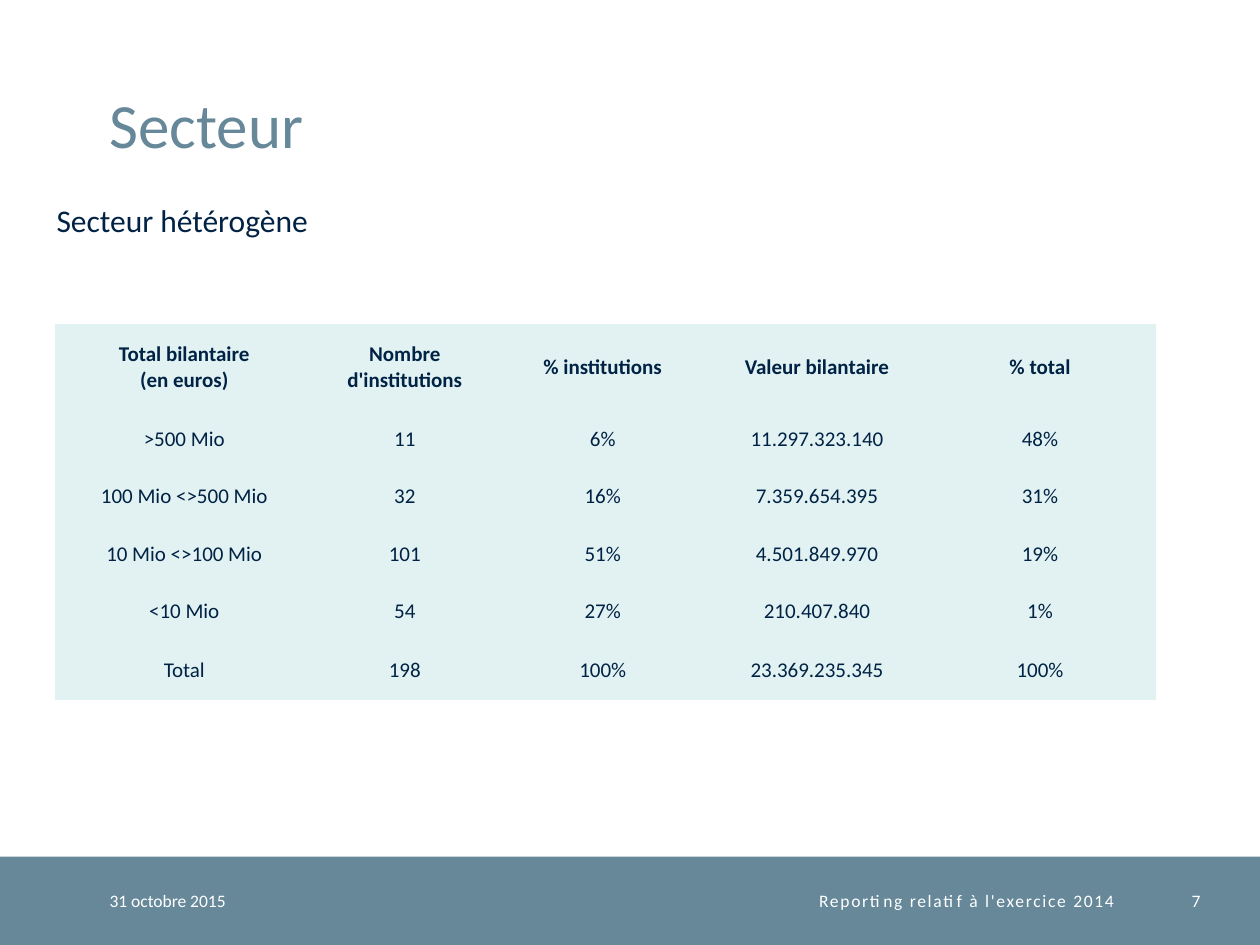
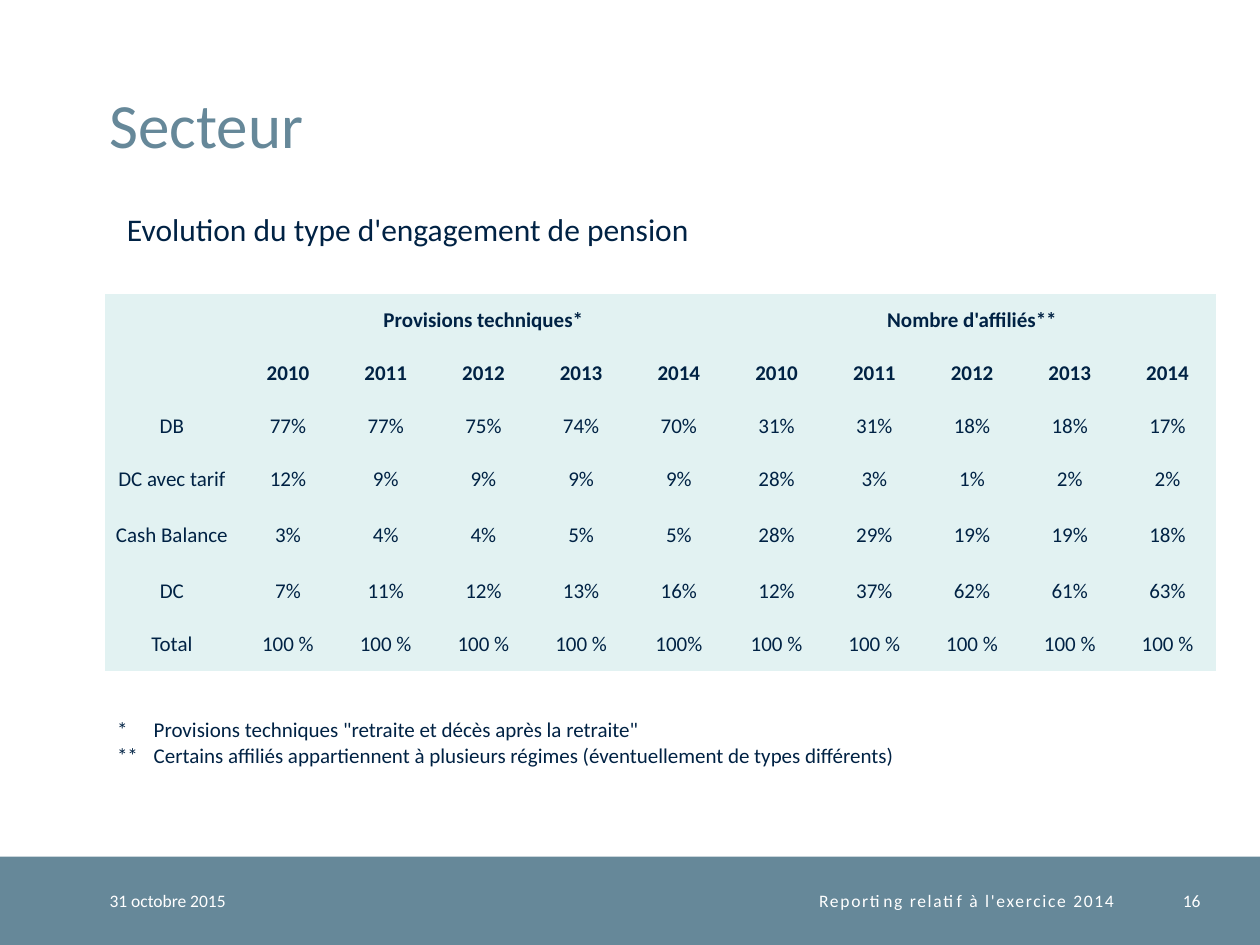
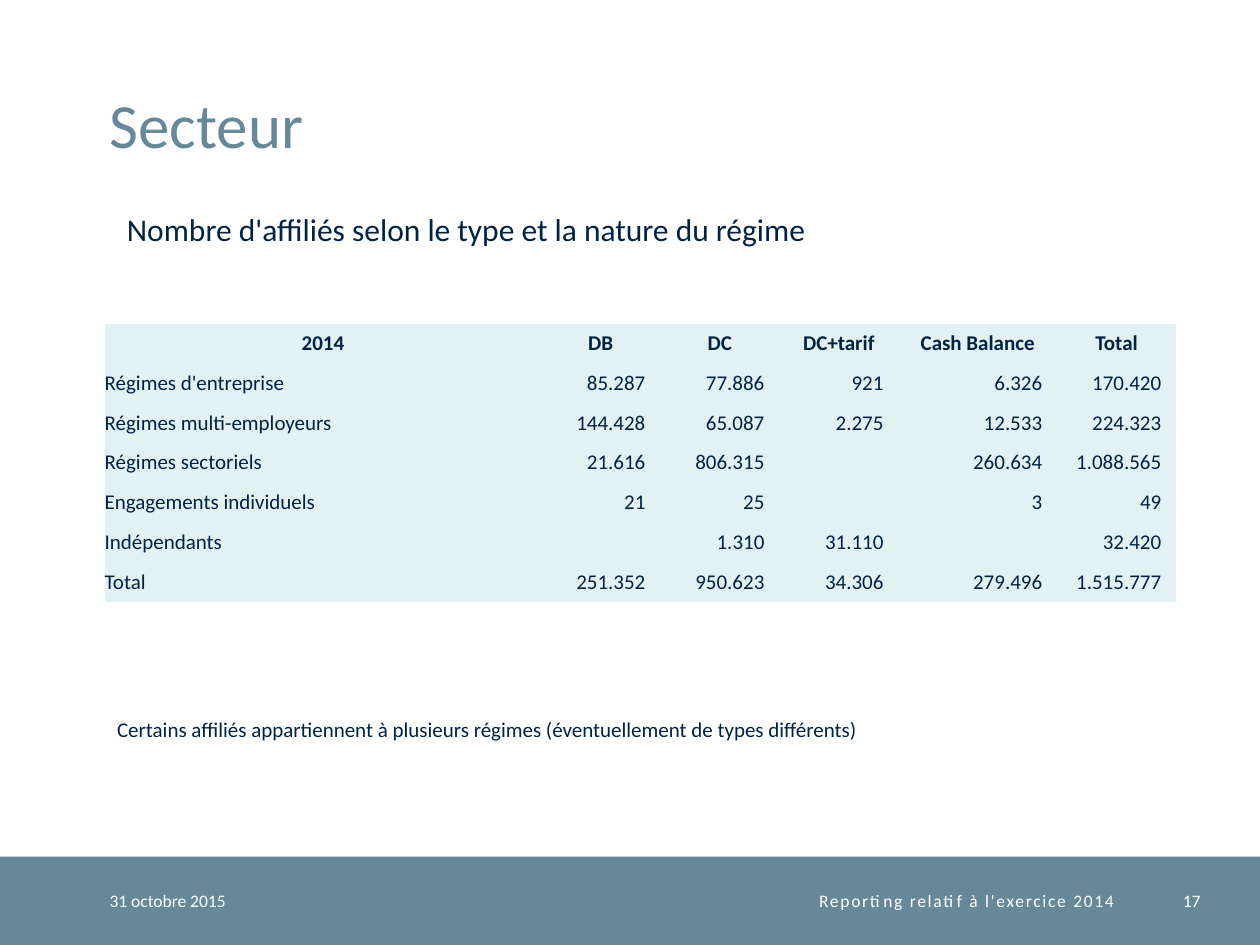
from pptx import Presentation
from pptx.dml.color import RGBColor
from pptx.enum.shapes import MSO_SHAPE
from pptx.enum.text import MSO_ANCHOR, MSO_AUTO_SIZE, PP_ALIGN
from pptx.oxml.ns import qn
from pptx.util import Cm, Pt

SLATE = RGBColor(0x66, 0x88, 0x99)
NAVY = RGBColor(0x00, 0x22, 0x44)
PALE = RGBColor(0xE2, 0xF2, 0xF2)
WHITE = RGBColor(0xFF, 0xFF, 0xFF)
FONT = "Calibri"
PLAIN_TABLE_STYLE = "{2D5ABB26-0587-4C30-8999-92F81FD0307C}"

SLIDE_WIDTH, SLIDE_HEIGHT = 25.4, 19.05
BAND_TOP, BAND_HEIGHT = 17.27, 1.78
CONTENT_LEFT, TITLE_LEFT = 2.11, 2.21
HANGING_INDENT = 0.74

BALANCE_SHEETS = [
    ["Total bilantaire\n(en euros)", "Nombre d'institutions", "% institutions",
     "Valeur bilantaire", "% total"],
    [">500 Mio", "11", "6%", "11.297.323.140", "48%"],
    ["100 Mio <>500 Mio", "32", "16%", "7.359.654.395", "31%"],
    ["10 Mio <>100 Mio", "101", "51%", "4.501.849.970", "19%"],
    ["<10 Mio", "54", "27%", "210.407.840", "1%"],
    ["Total", "198", "100%", "23.369.235.345", "100%"],
]
YEARS = ["2010", "2011", "2012", "2013", "2014"]
COMMITMENTS = [
    ["", "Provisions techniques*", "", "", "", "", "Nombre d'affiliés**", "", "", "", ""],
    ["", *YEARS, *YEARS],
    ["DB", "77%", "77%", "75%", "74%", "70%", "31%", "31%", "18%", "18%", "17%"],
    ["DC avec tarif", "12%", "9%", "9%", "9%", "9%", "28%", "3%", "1%", "2%", "2%"],
    ["Cash Balance", "3%", "4%", "4%", "5%", "5%", "28%", "29%", "19%", "19%", "18%"],
    ["DC", "7%", "11%", "12%", "13%", "16%", "12%", "37%", "62%", "61%", "63%"],
    ["Total", *["100 %"] * 4, "100%", *["100 %"] * 5],
]
AFFILIATES = [
    ["2014", "DB", "DC", "DC+tarif", "Cash Balance", "Total"],
    ["Régimes d'entreprise", "85.287", "77.886", "921", "6.326", "170.420"],
    ["Régimes multi-employeurs", "144.428", "65.087", "2.275", "12.533", "224.323"],
    ["Régimes sectoriels", "21.616", "806.315", "", "260.634", "1.088.565"],
    ["Engagements individuels", "21", "25", "", "3", "49"],
    ["Indépendants", "", "1.310", "31.110", "", "32.420"],
    ["Total", "251.352", "950.623", "34.306", "279.496", "1.515.777"],
]
OVERLAP_NOTE = ("Certains affiliés appartiennent à plusieurs régimes "
                "(éventuellement de types différents)")


def format_text(text_frame, size, color, align=PP_ALIGN.LEFT, bold=False):
    for paragraph in text_frame.paragraphs:
        paragraph.alignment = align
        for run in paragraph.runs:
            run.font.name = FONT
            run.font.size = Pt(size)
            run.font.bold = bold
            run.font.color.rgb = color


def clear_margins(holder):
    """Remove the inner margins of a text frame or table cell."""
    holder.margin_left = holder.margin_right = 0
    holder.margin_top = holder.margin_bottom = 0


def add_text(slide, text, left, top, width, height, size, color, align=PP_ALIGN.LEFT):
    box = slide.shapes.add_textbox(Cm(left), Cm(top), Cm(width), Cm(height))
    frame = box.text_frame
    frame.word_wrap = True
    frame.text = text
    format_text(frame, size, color, align)
    return frame


def add_footer_text(slide, text, left, width, align=PP_ALIGN.LEFT):
    frame = add_text(slide, text, left, BAND_TOP, width, BAND_HEIGHT, 10, WHITE, align)
    clear_margins(frame)
    frame.vertical_anchor = MSO_ANCHOR.MIDDLE
    return frame


def add_footer(slide, number):
    band = slide.shapes.add_shape(MSO_SHAPE.RECTANGLE, 0, Cm(BAND_TOP),
                                  Cm(SLIDE_WIDTH), Cm(BAND_HEIGHT))
    band.shadow.inherit = False
    band.fill.solid()
    band.fill.fore_color.rgb = SLATE
    band.line.fill.background()
    add_footer_text(slide, "31 octobre 2015", TITLE_LEFT, 4.5)
    report = add_footer_text(slide, "Reporting relatif à l'exercice 2014", 6.71, 15.75,
                             PP_ALIGN.RIGHT)
    report.paragraphs[0].runs[0]._r.get_or_add_rPr().set("spc", "100")
    add_footer_text(slide, str(number), 22.96, 1.24, PP_ALIGN.RIGHT)


def add_sector_slide(presentation, number):
    """Add a slide with the shared title and footer band."""
    slide = presentation.slides.add_slide(presentation.slide_layouts[5])
    title = slide.shapes.title
    title.left, title.top = Cm(TITLE_LEFT), Cm(0.51)
    title.width, title.height = Cm(21.92), Cm(2.74)
    frame = title.text_frame
    frame.text = "Secteur"
    frame.auto_size = MSO_AUTO_SIZE.NONE
    frame.vertical_anchor = MSO_ANCHOR.BOTTOM
    clear_margins(frame)
    frame.paragraphs[0].line_spacing = Pt(32)
    format_text(frame, 36, SLATE)
    add_footer(slide, number)
    return slide


def add_subtitle(slide, text, left=2.31, top=4.11, width=21.41):
    frame = add_text(slide, text, left, top, width, 1.02, 18, NAVY)
    frame.auto_size = MSO_AUTO_SIZE.SHAPE_TO_FIT_TEXT


def add_notes(slide, notes, hanging=False):
    """Add the remarks under the table, with a hanging indent after their marks."""
    frame = add_text(slide, "\n".join(notes), CONTENT_LEFT, 14.33, 22.2,
                     0.25 + 0.51 * len(notes), 12, NAVY)
    frame.auto_size = MSO_AUTO_SIZE.SHAPE_TO_FIT_TEXT
    if hanging:
        for paragraph in frame.paragraphs:
            properties = paragraph._p.get_or_add_pPr()
            properties.set("marL", str(Cm(HANGING_INDENT)))
            properties.set("indent", str(-Cm(HANGING_INDENT)))


def add_data_table(slide, rows, left, top, widths, heights, header_rows=1, figures_right=False):
    """Add a pale table; figures_right sets labels left and figures right below the header."""
    table = slide.shapes.add_table(len(rows), len(widths), Cm(left), Cm(top),
                                   Cm(sum(widths)), Cm(sum(heights))).table
    table.first_row = table.horz_banding = False
    table._tbl.tblPr.find(qn("a:tableStyleId")).text = PLAIN_TABLE_STYLE
    for column, width in zip(table.columns, widths):
        column.width = Cm(width)
    for row, height in zip(table.rows, heights):
        row.height = Cm(height)
    for r, values in enumerate(rows):
        is_header = r < header_rows
        for c, value in enumerate(values):
            cell = table.cell(r, c)
            cell.fill.solid()
            cell.fill.fore_color.rgb = PALE
            cell.vertical_anchor = MSO_ANCHOR.MIDDLE
            clear_margins(cell)
            align = PP_ALIGN.CENTER
            if figures_right and not is_header:
                align = PP_ALIGN.RIGHT if c else PP_ALIGN.LEFT
                cell.margin_right = Cm(0.3 if c else 0)
            cell.text = value
            format_text(cell.text_frame, 12, NAVY, align, is_header)
    return table


def add_balance_slide(presentation):
    slide = add_sector_slide(presentation, 7)
    add_subtitle(slide, "Secteur hétérogène", 0.89, 3.92, 8.2)
    add_data_table(slide, BALANCE_SHEETS, 1.1, 6.53, [5.23, 3.66, 4.32, 4.32, 4.67],
                   [1.74, *[1.16] * 4, 1.21])


def add_commitment_slide(presentation):
    slide = add_sector_slide(presentation, 16)
    table = add_data_table(slide, COMMITMENTS, CONTENT_LEFT, 5.92, [2.71, *[1.97] * 10],
                           [*[1.07] * 4, 1.19, 1.07, 1.07], header_rows=2)
    table.cell(0, 0).merge(table.cell(1, 0))
    for first in (1, 1 + len(YEARS)):
        table.cell(0, first).merge(table.cell(0, first + len(YEARS) - 1))
    add_subtitle(slide, "Evolution du type d'engagement de pension")
    add_notes(slide, ['*\tProvisions techniques "retraite et décès après la retraite"',
                      "**\t" + OVERLAP_NOTE], hanging=True)


def add_affiliate_slide(presentation):
    slide = add_sector_slide(presentation, 17)
    add_subtitle(slide, "Nombre d'affiliés selon le type et la nature du régime")
    add_notes(slide, [OVERLAP_NOTE])
    add_data_table(slide, AFFILIATES, CONTENT_LEFT, 6.53, [8.8, 2.4, 2.4, 2.4, 3.2, 2.4],
                   [0.8] * len(AFFILIATES), figures_right=True)


def main():
    presentation = Presentation()
    presentation.slide_width, presentation.slide_height = Cm(SLIDE_WIDTH), Cm(SLIDE_HEIGHT)
    add_balance_slide(presentation)
    add_commitment_slide(presentation)
    add_affiliate_slide(presentation)
    presentation.save("out.pptx")


if __name__ == "__main__":
    main()
